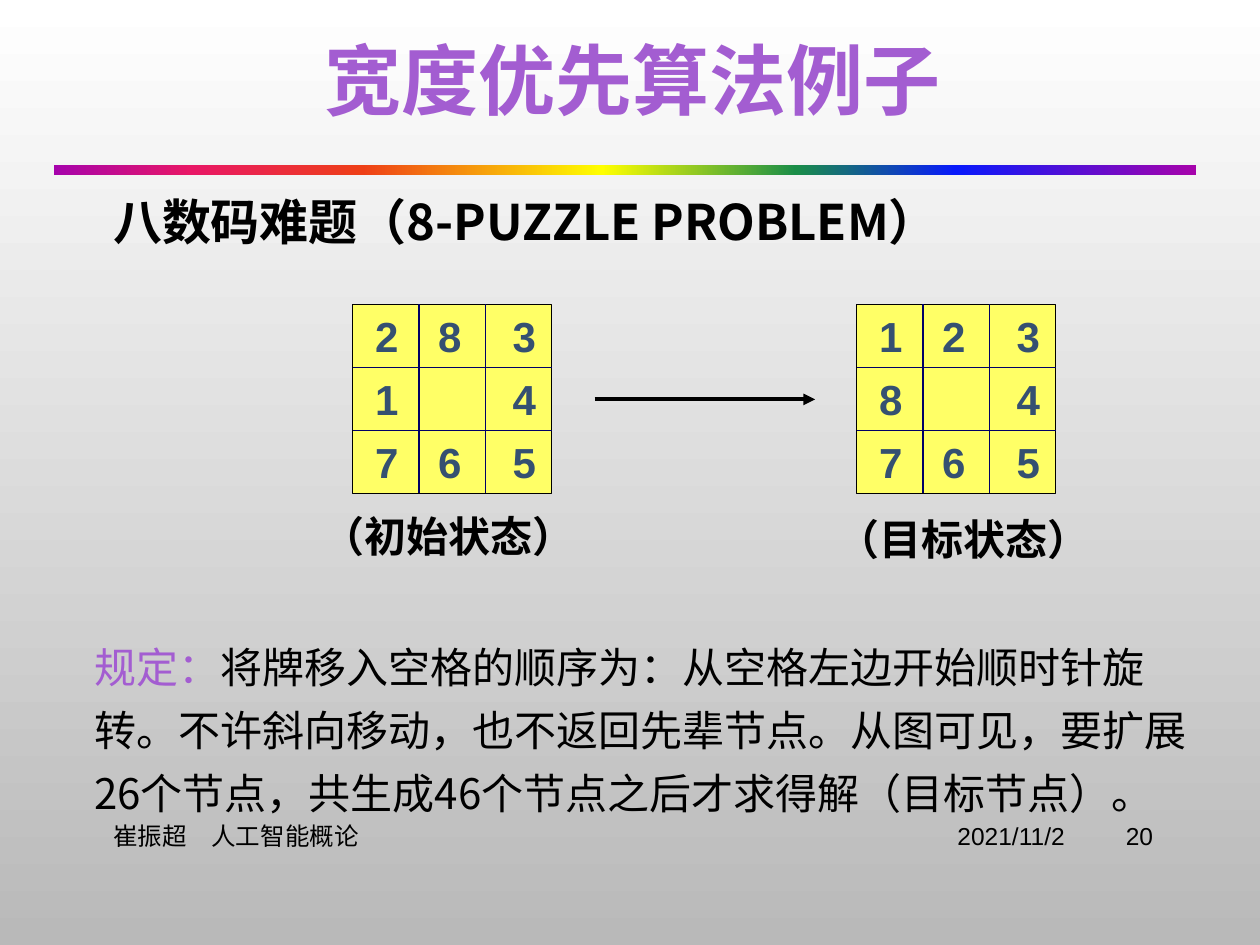
from dataclasses import dataclass

from lxml import etree
from pptx import Presentation
from pptx import util as u
from pptx.dml.color import RGBColor
from pptx.enum import shapes, text
from pptx.oxml.ns import qn


@dataclass(frozen=True)
class Theme:
    latin: str = "Arial"
    cjk: str = "Noto Sans CJK SC"
    black: str = "000000"
    accent: str = "A35DD1"
    tile: str = "FFFF66"
    grid: str = "000066"
    digit: str = "355071"
    backdrop: tuple = ((0, "FFFFFF"), (100, "B9B9B9"))
    rainbow: tuple = ((0, "A603AB"), (12, "E81766"), (27, "EE3F17"), (48, "FFFF00"),
                      (65, "1A8D48"), (79, "0819FB"), (100, "A603AB"))
    title: int = 44
    heading: int = 28
    body: int = 24
    footer: int = 14


T = Theme()
W, H = 10, 7.5
SIDE_W, SIDE_H = 1.58, 1.5  # puzzle board
DIGIT_X = (0.08, 0.58, 1.17)  # digit columns within a board


def rgb(value):
    return RGBColor.from_string(value)


def set_gradient(fill, element, stops, angle):
    fill.gradient()
    fill.gradient_angle = angle
    gs_list = element.xpath(".//a:gsLst")[0]
    for old in list(gs_list):
        gs_list.remove(old)
    for pos, color in stops:
        gs = etree.SubElement(gs_list, qn("a:gs"), pos=str(pos * 1000))
        etree.SubElement(gs, qn("a:srgbClr"), val=color)


def add_rect(parent, x, y, w, h):
    sp = parent.add_shape(shapes.MSO_SHAPE.RECTANGLE, *map(u.Inches, (x, y, w, h)))
    sp.shadow.inherit = False
    return sp


def add_line(parent, x1, y1, x2, y2, color, width, arrow=False):
    ln = parent.add_connector(shapes.MSO_CONNECTOR.STRAIGHT, *map(u.Inches, (x1, y1, x2, y2)))
    ln.line.color.rgb = rgb(color)
    ln.line.width = u.Pt(width)
    if arrow:
        etree.SubElement(ln._element.xpath(".//a:ln")[0], qn("a:tailEnd"), type="triangle")
    etree.SubElement(ln._element.spPr, qn("a:effectLst"))


def add_text(parent, box, runs, size, font=T.latin, bold=False, wrap=True,
             align=text.PP_ALIGN.LEFT, anchor=text.MSO_ANCHOR.TOP):
    """Place one paragraph of (words, colour) runs and return it."""
    tf = parent.add_textbox(*map(u.Inches, box)).text_frame
    tf.word_wrap = wrap
    tf.vertical_anchor = anchor
    p = tf.paragraphs[0]
    p.alignment = align
    p.font.name, p.font.size, p.font.bold = font, u.Pt(size), bold
    if font == T.cjk:
        etree.SubElement(p._p.xpath(".//a:defRPr")[0], qn("a:ea"), typeface=font)
    for words, color in runs:
        r = p.add_run()
        r.text = words
        r.font.color.rgb = rgb(color)
    return p


def add_header(s, x, y, w):
    add_text(s.shapes, (x, y, w, 0.84), [("宽度优先算法例子", T.accent)], T.title, T.cjk,
             bold=True, align=text.PP_ALIGN.CENTER)
    # Rainbow rule
    bar = add_rect(s.shapes, 0.43, 1.31, 9.06, 0.08)
    set_gradient(bar.fill, bar._element, T.rainbow, 0)
    bar.line.fill.background()
    # Heading
    p = add_text(s.shapes, (0.8, 1.38, 7.83, 6.08),
                 [("八数码难题（8-PUZZLE PROBLEM）", T.black)], T.heading, T.cjk, bold=True)
    p.line_spacing = 1.2
    p.space_before = u.Pt(10)


def add_board(s, x, y, rows, caption, caption_box):
    board = s.shapes.add_group_shape().shapes
    sp = add_rect(board, x, y, SIDE_W, SIDE_H)
    sp.fill.solid()
    sp.fill.fore_color.rgb = rgb(T.tile)
    sp.line.color.rgb = rgb(T.black)
    sp.line.width = u.Pt(0.75)
    # Inner grid lines
    for i in (1, 2):
        dx, dy = x + SIDE_W * i / 3, y + SIDE_H * i / 3
        add_line(board, x, dy, x + SIDE_W, dy, T.grid, 0.75)
        add_line(board, dx, y, dx, y + SIDE_H, T.grid, 0.75)
    # Digits; a blank marks the empty cell
    for i, row in enumerate(rows):
        for dx, digit in zip(DIGIT_X, row):
            if digit != " ":
                add_text(board, (x + dx, y + SIDE_H * i / 3, 0.37, 0.5),
                         [(digit, T.digit)], T.body, bold=True, wrap=False)
    add_text(s.shapes, caption_box, [(caption, T.black)], T.body, bold=True, wrap=False)


def add_rules(s, x, y, w, h):
    p = add_text(s.shapes, (x, y, w, h), [
        ("规定：", T.accent),
        ("将牌移入空格的顺序为：从空格左边开始顺时针旋转。不许斜向移动，也不返回先辈节点。"
         "从图可见，要扩展26个节点，共生成46个节点之后才求得解（目标节点）。", T.black),
    ], T.body, T.cjk)
    p.line_spacing = u.Pt(36)
    # Keep punctuation inside the right margin
    p._p.get_or_add_pPr().set("hangingPunct", "0")


def add_footer(s, y, h):
    right = text.PP_ALIGN.RIGHT
    for x, w, words, align in ((0.8, 5.42, "崔振超　人工智能概论", text.PP_ALIGN.LEFT),
                               (6.3, 2.25, "2021/11/2", right),
                               (8.62, 0.63, "20", right)):
        add_text(s.shapes, (x, y, w, h), [(words, T.black)], T.footer,
                 align=align, anchor=text.MSO_ANCHOR.MIDDLE)


def main():
    prs = Presentation()
    prs.slide_width, prs.slide_height = u.Inches(W), u.Inches(H)
    s = prs.slides.add_slide(prs.slide_layouts[6])
    set_gradient(s.background.fill, s._element, T.backdrop, 270)

    add_header(s, 1.54, 0.21, 6.96)
    add_footer(s, 6.43, 0.4)
    add_board(s, 2.8, 2.415, ("283", "1 4", "765"), "（初始状态）", (2.46, 4, 2.2, 0.5))
    add_board(s, 6.8, 2.415, ("123", "8 4", "765"), "（目标状态）", (6.55, 4.03, 2.2, 0.5))
    add_line(s.shapes, 4.72, 3.17, 6.47, 3.17, T.black, 2.25, arrow=True)
    add_rules(s, 0.65, 4.94, 8.98, 1.62)
    prs.save("out.pptx")


if __name__ == "__main__":
    main()
